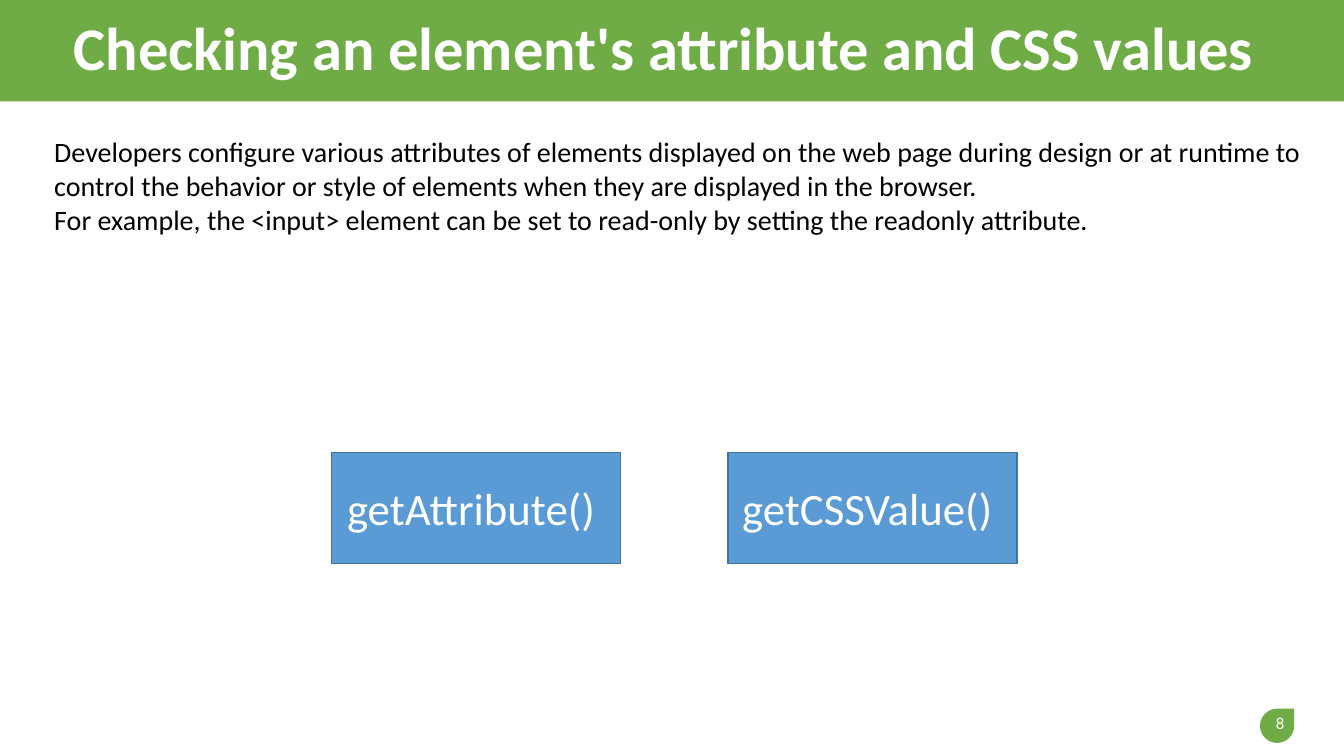
from pptx import Presentation
from pptx.dml.color import RGBColor
from pptx.enum import shapes, text
from pptx.util import Pt

TITLE = "Checking an element's attribute and CSS values"
BODY = [
    "Developers configure various attributes of elements displayed on the web page during design or at runtime to control the behavior or style of elements when they are displayed in the browser.",
    "For example, the <input> element can be set to read-only by setting the readonly attribute.",
]
METHODS = ["getAttribute() ", "getCSSValue() "]
PAGE = "8"
COLORS = {"green": "70AC45", "blue": "5B9BD5", "edge": "43739E",
          "white": "FFFFFF", "black": "000000"}
WIDE, HIGH = 960, 540
LEFT, TOP, STEP = 236.9, 323.3, 283
KIND = shapes.MSO_SHAPE
ALIGN = text.PP_ALIGN
ANCHOR = text.MSO_ANCHOR


def color(name):
    return RGBColor.from_string(COLORS[name])


def write(item, lines, size, tint="white", bold=False, align=ALIGN.LEFT,
          anchor=ANCHOR.MIDDLE, space=1.0):
    frame = item.text_frame
    frame.text = "\n".join(lines)
    frame.word_wrap = True
    frame.auto_size = text.MSO_AUTO_SIZE.NONE
    frame.vertical_anchor = anchor
    for para in frame.paragraphs:
        para.alignment = align
        para.line_spacing = space
        para.font.name = "Calibri"
        para.font.size = Pt(size)
        para.font.bold = bold
        para.font.color.rgb = color(tint)


def draw(kind, box, fill, edge=None):
    item = slide.shapes.add_shape(kind, *map(Pt, box))
    item.shadow.inherit = False
    item.fill.solid()
    item.fill.fore_color.rgb = color(fill)
    if edge:
        item.line.color.rgb = color(edge)
        item.line.width = Pt(1)
    else:
        item.line.fill.background()
    return item


deck = Presentation()
deck.slide_width, deck.slide_height = Pt(WIDE), Pt(HIGH)
slide = deck.slides.add_slide(deck.slide_layouts[5])

draw(KIND.TEAR, (900, 506.2, 24.5, 24.5), "green")
band = draw(KIND.RECTANGLE, (0, 0, WIDE, 72.5), "green")

title = slide.shapes.title
title.left, title.top, title.width, title.height = map(Pt, (45.4, 5.8, 872.6, 60.5))
write(title, [TITLE], 43.2, bold=True, space=0.9)
band.element.addnext(title.element)

page = slide.shapes.add_textbox(*map(Pt, (893.5, 507.6, 31, 18)))
write(page, [PAGE], 12, align=ALIGN.RIGHT)

body = slide.shapes.add_textbox(*map(Pt, (31.7, 92.9, 914.4, 80)))
write(body, BODY, 20, tint="black", anchor=ANCHOR.TOP)

for i, name in enumerate(METHODS):
    card = draw(KIND.RECTANGLE, (LEFT + i * STEP, TOP, 206.6, 79.2), "blue", "edge")
    write(card, [name], 32, align=ALIGN.CENTER)

deck.save("out.pptx")
